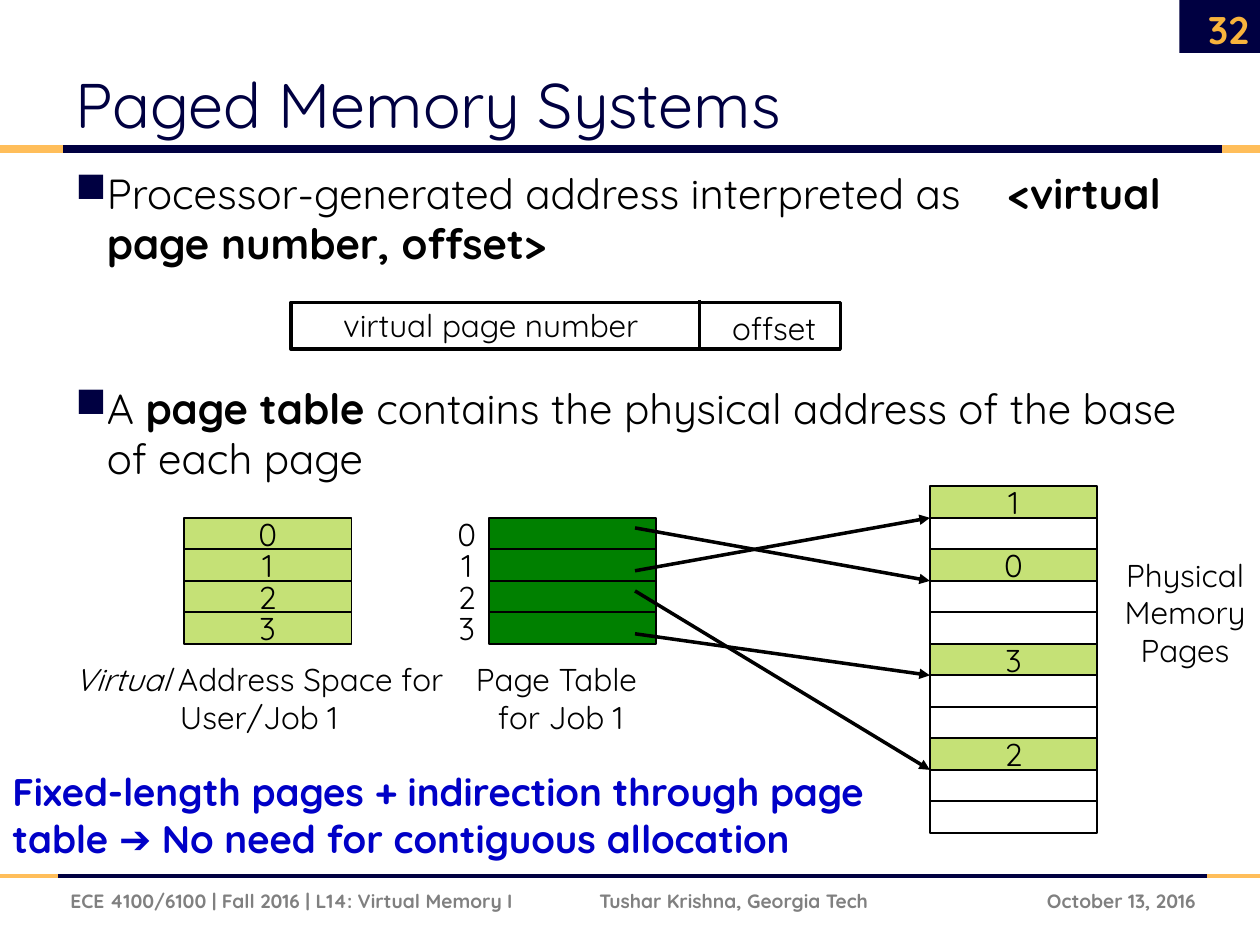
from dataclasses import dataclass

from lxml import etree
from pptx import Presentation
from pptx import util as u
from pptx.dml.color import RGBColor
from pptx.enum import shapes, text
from pptx.oxml import ns

LEFT, CENTER, RIGHT = text.PP_ALIGN.LEFT, text.PP_ALIGN.CENTER, text.PP_ALIGN.RIGHT
TOP, MIDDLE, BOTTOM = text.MSO_ANCHOR.TOP, text.MSO_ANCHOR.MIDDLE, text.MSO_ANCHOR.BOTTOM


@dataclass(frozen=True)
class Theme:
    font: str = "Quicksand"
    navy: str = "000041"
    gold: str = "FFBE5A"
    number: str = "F8B33C"
    black: str = "000000"
    white: str = "FFFFFF"
    gray: str = "808080"
    lime: str = "C5E176"
    green: str = "008000"
    blue: str = "0000C7"
    title_size: int = 36
    body_size: int = 24
    strong_size: int = 22
    label_size: int = 18
    footer_size: int = 11


THEME = Theme()
CELL_WIDTH, CELL_HEIGHT = 1.33, 0.25
TABLE_TOP, MEMORY_TOP, MEMORY_LEFT = 4.11, 3.86, 7.38


def rgb(color):
    return RGBColor.from_string(color)


def add_span(para, words, size, color, bold=False, italic=False):
    span = para.add_run()
    span.text = words
    span.font.name = THEME.font
    span.font.size = u.Pt(size)
    span.font.color.rgb = rgb(color)
    span.font.bold = bold
    span.font.italic = italic


def add_text(page, area, lines, size=THEME.label_size, color=THEME.black,
             align=CENTER, anchor=TOP, bold=False, wrap=True):
    box = page.shapes.add_textbox(*map(u.Inches, area))
    frame = box.text_frame
    frame.word_wrap = wrap
    frame.vertical_anchor = anchor
    for index, spans in enumerate(lines):
        para = frame.paragraphs[0] if index == 0 else frame.add_paragraph()
        para.alignment = align
        for words, italic in spans:
            add_span(para, words, size, color, bold, italic)


def add_plain(page, area, *lines, **style):
    add_text(page, area, [[(line, False)] for line in lines], **style)


def add_rect(page, area, fill, line=None, width=1, label=None):
    rect = page.shapes.add_shape(shapes.MSO_SHAPE.RECTANGLE, *map(u.Inches, area))
    rect.shadow.inherit = False
    rect.fill.solid()
    rect.fill.fore_color.rgb = rgb(fill)
    if line:
        rect.line.color.rgb = rgb(line)
        rect.line.width = u.Pt(width)
    else:
        rect.line.fill.background()
    if label:
        frame = rect.text_frame
        frame.margin_left = frame.margin_right = frame.margin_top = frame.margin_bottom = 0
        frame.word_wrap = False
        frame.vertical_anchor = MIDDLE
        frame.paragraphs[0].alignment = CENTER
        add_span(frame.paragraphs[0], label, THEME.label_size, THEME.black)


def add_line(page, start, end, color=THEME.black, width=2, arrow=False):
    line = page.shapes.add_connector(
        shapes.MSO_CONNECTOR.STRAIGHT, *map(u.Inches, (*start, *end)))
    line.line.color.rgb = rgb(color)
    line.line.width = u.Pt(width)
    if arrow:
        etree.SubElement(line.line._get_or_add_ln(), ns.qn("a:tailEnd"), type="triangle")
    etree.SubElement(line._element.spPr, ns.qn("a:effectLst"))


def add_column(page, left, top, labels, fill, line=THEME.black, width=CELL_WIDTH):
    for row, label in enumerate(labels):
        area = (left, top + row * CELL_HEIGHT, width, CELL_HEIGHT)
        add_rect(page, area, fill if label else THEME.white, line, label=label.strip())


def set_bullet(para, tab=None):
    props = para._p.get_or_add_pPr()
    props.set("marL", str(u.Inches(0.25)))
    props.set("indent", str(-u.Inches(0.25)))
    color = etree.SubElement(props, ns.qn("a:buClr"))
    etree.SubElement(color, ns.qn("a:srgbClr"), val=THEME.navy)
    etree.SubElement(props, ns.qn("a:buChar"), char="■")
    if tab:
        stops = etree.SubElement(props, ns.qn("a:tabLst"))
        etree.SubElement(stops, ns.qn("a:tab"), pos=str(u.Inches(tab)), algn="l")


def add_bullets(page):
    box = page.shapes.add_textbox(*map(u.Inches, (0.5, 1.28, 9.08, 5.58)))
    frame = box.text_frame
    frame.word_wrap = True
    first, second = frame.paragraphs[0], frame.add_paragraph()
    set_bullet(first, tab=7.4)
    set_bullet(second)
    second.space_before = u.Pt(65)
    for para, words, bold in (
        (first, "Processor-generated address interpreted as\t", False),
        (first, "<virtual page number, offset>", True),
        (second, "A ", False),
        (second, "page table ", True),
        (second, "contains the physical address of the base of each page", False),
    ):
        add_span(para, words, THEME.body_size, THEME.black, bold)


def add_rule(page, y, left, right, width):
    for start, end, color in ((left, right, THEME.navy), (0, left, THEME.gold),
                              (right, 10, THEME.gold)):
        add_line(page, (start, y), (end, y), color, width)


def add_frame(page):
    add_rect(page, (9.36, 0, 0.68, 0.42), THEME.navy)
    add_rule(page, 6.95, 0.46, 9.58, 2.25)
    add_rule(page, 1.18, 0.5, 9.7, 4.5)
    add_plain(page, (0.5, 0.17, 8.18, 1), "Paged Memory Systems",
              size=THEME.title_size, color=THEME.navy, align=LEFT, anchor=BOTTOM)
    for left, width, words, align in (
        (0.46, 4.1, "ECE 4100/6100 | Fall 2016 | L14: Virtual Memory I", LEFT),
        (4.66, 2.9, "Tushar Krishna, Georgia Tech", LEFT),
        (7.67, 1.92, "October 13, 2016", RIGHT),
    ):
        add_plain(page, (left, 6.95, width, 0.4), words, size=THEME.footer_size,
                  color=THEME.gray, align=align, anchor=MIDDLE, bold=True)
    add_plain(page, (9.34, 0.03, 0.67, 0.4), "32", size=THEME.strong_size,
              color=THEME.number, align=RIGHT, anchor=MIDDLE, bold=True)


def add_address_format(page):
    add_rect(page, (2.31, 2.4, 4.36, 0.37), THEME.white, THEME.black, 2)
    add_line(page, (5.55, 2.38), (5.55, 2.77))
    add_plain(page, (5.71, 2.4, 0.87, 0.4), "offset", wrap=False)
    add_plain(page, (2.42, 2.38, 2.95, 0.4), "virtual page number")


def add_page_mapping(page):
    add_text(page, (0.45, 5.19, 3.21, 0.7),
             [[("Virtual", True), (" Address Space for User/Job 1", False)]])
    add_plain(page, (3.66, 5.19, 1.58, 0.7), "Page Table ", "for Job 1", wrap=False)
    add_plain(page, (8.51, 4.36, 1.79, 1.01), "Physical Memory", "Pages")
    add_column(page, 1.46, TABLE_TOP, "0123", THEME.lime)
    add_column(page, 3.54, TABLE_TOP, "0123", THEME.white, line=None, width=0.33)
    add_column(page, 3.88, TABLE_TOP, " " * 4, THEME.green)
    memory = ["1", "", "0", "", "", "3", "", "", "2", "", ""]
    for start_y, number in ((4.19, "0"), (4.53, "1"), (4.69, "2"), (5.03, "3")):
        end_y = MEMORY_TOP + (memory.index(number) + 1) * CELL_HEIGHT
        add_line(page, (5.04, start_y), (MEMORY_LEFT, end_y), arrow=True)
    add_column(page, MEMORY_LEFT, MEMORY_TOP, memory, THEME.lime)


def main():
    deck = Presentation()
    deck.slide_width, deck.slide_height = u.Inches(10), u.Inches(7.5)
    page = deck.slides.add_slide(deck.slide_layouts[6])
    add_frame(page)
    add_bullets(page)
    add_address_format(page)
    add_page_mapping(page)
    add_plain(page, (0, 6.05, 7.38, 0.84),
              "Fixed-length pages + indirection through page table ➔ "
              "No need for contiguous allocation",
              size=THEME.strong_size, color=THEME.blue, align=LEFT, bold=True)
    deck.save("out.pptx")


if __name__ == "__main__":
    main()
